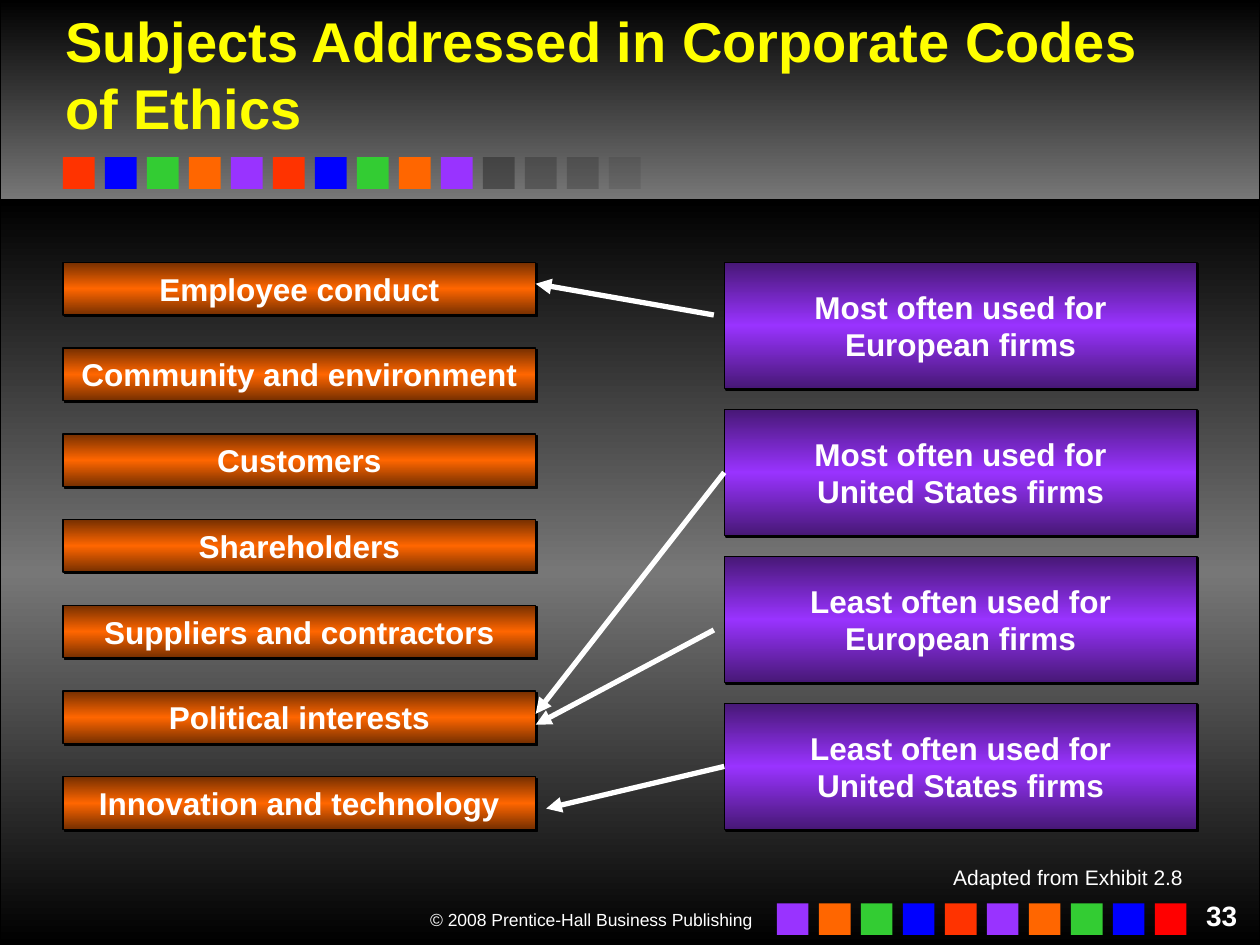
import collections

import lxml.etree
import pptx
import pptx.dml.color
import pptx.enum.shapes
import pptx.enum.text
import pptx.oxml.ns
import pptx.util

Cm, Pt = pptx.util.Cm, pptx.util.Pt
qn = pptx.oxml.ns.qn
ALIGN = pptx.enum.text.PP_ALIGN
ANCHOR = pptx.enum.text.MSO_ANCHOR
RECTANGLE = pptx.enum.shapes.MSO_SHAPE.RECTANGLE

# Regions are given in centimetres
Box = collections.namedtuple("Box", "left top width height")

FONT = "Arial"
WHITE, BLACK, YELLOW, GREY = "FFFFFF", "000000", "FFFF00", "777777"
RED, BLUE, GREEN, ORANGE, PURPLE = "FF3300", "0000FF", "33CC33", "FF6600", "9933FF"
BRIGHT_RED, CHARCOAL = "FF0000", "292929"
DARK_ORANGE, DARK_PURPLE = "762F00", "471876"

SQUARE_SIZE = 0.64
SQUARE_PITCH = 25.4 / 30

SUBJECTS = [
    ["Employee conduct"],
    ["Community and environment"],
    ["Customers"],
    ["Shareholders"],
    ["Suppliers and contractors"],
    ["Political interests"],
    ["Innovation and technology"],
]
FIRMS = [
    [f"{rank} often used for", f"{region} firms"]
    for rank in ("Most", "Least")
    for region in ("European", "United States")
]


def rgb(color):
    return pptx.dml.color.RGBColor.from_string(color)


def lengths(box):
    return [Cm(value) for value in box]


def add_child(parent, tag, **attributes):
    values = {name: str(value) for name, value in attributes.items()}
    return lxml.etree.SubElement(parent, qn(tag), values)


def add_shadow(effect_list):
    shadow = add_child(effect_list, "a:outerShdw", blurRad=0, dist=Pt(1.4), dir=2700000, algn="ctr")
    add_child(shadow, "a:srgbClr", val=BLACK)


def add_run(paragraph, text, size, color=WHITE, bold=False):
    run = paragraph.add_run()
    run.text = text
    run.font.name, run.font.size, run.font.bold = FONT, Pt(size), bold
    run.font.color.rgb = rgb(color)
    return run


def add_rectangle(slide, box):
    shape = slide.shapes.add_shape(RECTANGLE, *lengths(box))
    shape.shadow.inherit = False
    return shape


def add_gradient_rectangle(slide, box, colors):
    """Rectangle with evenly spaced colours from top to bottom and a thin black outline."""
    shape = add_rectangle(slide, box)
    shape.fill.gradient()
    shape.fill.gradient_angle = 270
    stops = shape._element.spPr.find(".//" + qn("a:gsLst"))
    for stop in list(stops):
        stops.remove(stop)
    for index, color in enumerate(colors):
        stop = add_child(stops, "a:gs", pos=100000 * index // (len(colors) - 1))
        add_child(stop, "a:srgbClr", val=color)
    shape.line.color.rgb = rgb(BLACK)
    shape.line.width = Pt(0.75)
    return shape


def add_squares(slide, box, colors):
    """Row of small squares; each entry is a colour and its opacity in percent."""
    for index, (color, opacity) in enumerate(colors):
        left = box.left + index * SQUARE_PITCH
        square = add_rectangle(slide, Box(left, box.top, box.height, box.height))
        square.fill.solid()
        square.fill.fore_color.rgb = rgb(color)
        square.line.fill.background()
        if opacity < 100:
            color_element = square._element.spPr.find(qn("a:solidFill"))[0]
            add_child(color_element, "a:alpha", val=opacity * 1000)


def add_label(slide, box, text, size, bold=False, line_spacing=None):
    frame = slide.shapes.add_textbox(*lengths(box)).text_frame
    frame.word_wrap = True
    paragraph = frame.paragraphs[0]
    paragraph.alignment = ALIGN.RIGHT
    paragraph.line_spacing = line_spacing
    add_run(paragraph, text, size, bold=bold)


def add_title(slide, box, text):
    title = slide.shapes.title
    title.left, title.top, title.width, title.height = lengths(box)
    slide.shapes._spTree.append(title._element)  # in front of the backdrop
    frame = title.text_frame
    frame.auto_size = pptx.enum.text.MSO_AUTO_SIZE.NONE
    frame.vertical_anchor = ANCHOR.MIDDLE
    paragraph = frame.paragraphs[0]
    paragraph.alignment = ALIGN.LEFT
    run = add_run(paragraph, text, 32, YELLOW, bold=True)
    effect_list = lxml.etree.Element(qn("a:effectLst"))
    run._r.rPr.find(qn("a:solidFill")).addnext(effect_list)
    add_shadow(effect_list)


def add_header(slide, box):
    add_gradient_rectangle(slide, box, [BLACK, GREY])
    add_title(slide, Box(box.left + 1.06, box.top, 23.07, 2.96),
              "Subjects Addressed in Corporate Codes of Ethics")
    colors = [(color, 100) for color in [RED, BLUE, GREEN, ORANGE, PURPLE] * 2]
    colors += [(CHARCOAL, opacity) for opacity in (50, 35, 30, 15)]
    add_squares(slide, Box(box.left + 1.27, box.top + 3.17, 11.64, SQUARE_SIZE), colors)


def add_footer(slide, box):
    add_label(slide, Box(box.left + 7.41, box.top + 0.85, 8, 0.68),
              "© 2008 Prentice-Hall Business Publishing", 10)
    colors = [PURPLE, ORANGE, GREEN, BLUE, RED, PURPLE, ORANGE, GREEN, BLUE, BRIGHT_RED]
    add_squares(slide, Box(box.left + 15.66, box.top + 0.85, 8.26, SQUARE_SIZE),
                [(color, 100) for color in colors])
    add_label(slide, Box(box.left + 23.92, box.top + 0.63, 1.27, 0.43), "33", 16, bold=True)
    add_label(slide, Box(box.left + 17.99, box.top, 6.11, 0.71),
              "Adapted from Exhibit 2.8", 12, line_spacing=0.9)


def add_column(slide, box, labels, bar_height, edge, middle):
    """Stack of labelled bars spread evenly over the height of the box."""
    pitch = (box.height - bar_height) / (len(labels) - 1)
    bars = []
    for index, lines in enumerate(labels):
        bar_box = Box(box.left, box.top + index * pitch, box.width, bar_height)
        bar = add_gradient_rectangle(slide, bar_box, [edge, middle, edge])
        add_shadow(bar._element.spPr.find(qn("a:effectLst")))
        frame = bar.text_frame
        frame.word_wrap = False
        frame.vertical_anchor = ANCHOR.MIDDLE
        for number, line in enumerate(lines):
            paragraph = frame.add_paragraph() if number else frame.paragraphs[0]
            paragraph.alignment = ALIGN.CENTER
            add_run(paragraph, line, 18, bold=True)
        bars.append(bar)
    return bars


def add_arrow(slide, start, end, source=None):
    """White arrow; with a source bar it starts at the middle of that bar's left side."""
    arrow = slide.shapes.add_connector(
        pptx.enum.shapes.MSO_CONNECTOR.STRAIGHT, *lengths(start + end))
    if source is not None:
        arrow.begin_connect(source, 1)
    arrow.line.color.rgb = rgb(WHITE)
    arrow.line.width = Pt(3)
    add_child(arrow.line._get_or_add_ln(), "a:tailEnd", type="triangle")
    add_child(arrow._element.spPr, "a:effectLst")


def add_diagram(slide, box):
    column_width = 9.53
    right = box.left + box.width - column_width
    add_column(slide, Box(box.left, box.top, column_width, box.height),
               SUBJECTS, 1.06, DARK_ORANGE, ORANGE)
    firms = add_column(slide, Box(right, box.top, column_width, box.height),
                       FIRMS, 2.54, DARK_PURPLE, PURPLE)

    # Arrows from the firms to the subjects
    near, far = right - 0.21, box.left + column_width
    add_arrow(slide, (near, box.top + 1.06), (far, box.top + 0.43))
    add_arrow(slide, (right, box.top + 10.16), (far + 0.21, box.top + 11.01), firms[3])
    add_arrow(slide, (right, box.top + 4.23), (far, box.top + 9.1), firms[1])
    add_arrow(slide, (near, box.top + 7.41), (far, box.top + 9.32))


def main():
    presentation = pptx.Presentation()
    presentation.slide_width, presentation.slide_height = Cm(25.4), Cm(19.05)
    slide = presentation.slides.add_slide(presentation.slide_layouts[5])
    add_header(slide, Box(0, 0, 25.4, 4.02))
    add_gradient_rectangle(slide, Box(0, 4.02, 25.4, 15.03), [BLACK, GREY, BLACK])
    add_footer(slide, Box(0, 17.36, 25.4, 1.69))
    add_diagram(slide, Box(1.27, 5.29, 22.86, 11.43))
    presentation.save("out.pptx")


if __name__ == "__main__":
    main()
